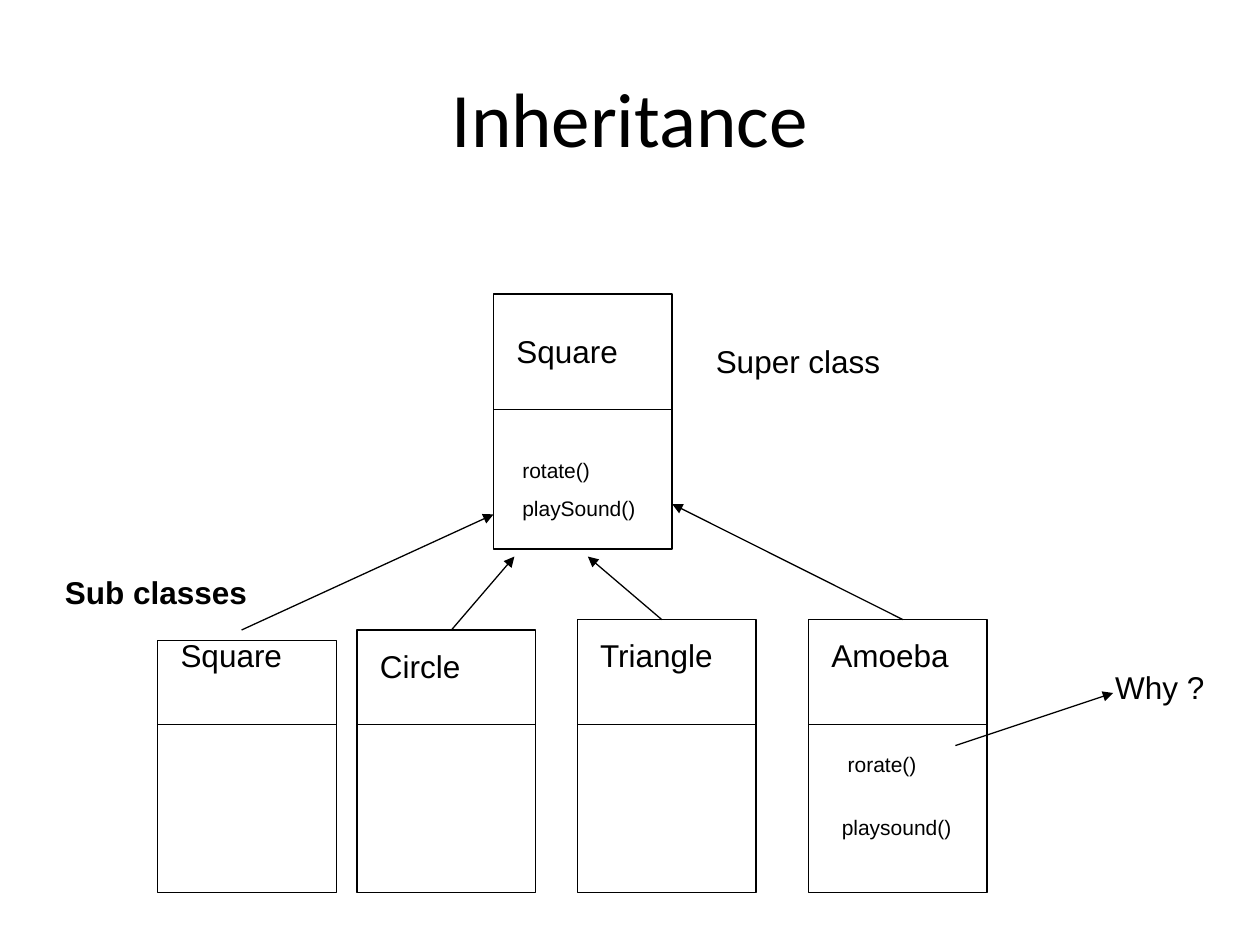
import dataclasses
import typing

import pptx
import pptx.dml.color
import pptx.enum.shapes
import pptx.enum.text
import pptx.oxml
import pptx.oxml.ns
import pptx.util

Cm = pptx.util.Cm
Pt = pptx.util.Pt


@dataclasses.dataclass(frozen=True)
class Theme:
    ink: pptx.dml.color.RGBColor = pptx.dml.color.RGBColor(0, 0, 0)
    head: str = "Calibri"
    body: str = "Arial"
    big: float = 44
    mid: float = 18
    small: float = 12
    line: float = 0.75


THEME = Theme()


@dataclasses.dataclass(frozen=True)
class Row:
    text: str
    indent: float = 0
    gap: float = 0


@dataclasses.dataclass(frozen=True)
class Card:
    """A class box; all lengths in cm."""
    name: str
    left: float
    top: float
    rule: float
    base: float
    label: float  # top of the name text


@dataclasses.dataclass(frozen=True)
class Note:
    rows: typing.Tuple[Row, ...]
    left: float
    top: float
    width: float
    size: float = THEME.mid
    bold: bool = False


@dataclasses.dataclass(frozen=True)
class Arrow:
    start: typing.Tuple[float, float]
    end: typing.Tuple[float, float]


WIDE = 3.6   # card width
INSET = 0.21  # from card edge to name box

PARENT = Card("Square", 9.95, 5.93, 8.26, 11.07, 6.56)
KIDS = [
    Card(name, left, top, 14.6, 17.99, label)
    for name, left, top, label in (
        ("Square", 3.18, 12.91, 12.7),
        ("Circle", 7.2, 12.7, 12.91),
        ("Triangle", 11.64, 12.49, 12.7),
        ("Amoeba", 16.3, 12.49, 12.7),
    )
]
NOTES = [
    Note((Row("rotate()", 0.12), Row("playSound()", 0.12, 7.5)),
         10.16, 9.1, 3.18, THEME.small),
    Note((Row("rorate()", 0.12), Row("playsound()", 0, 21.3)),
         16.72, 15.03, 2.75, THEME.small),
    Note((Row("Why ?"),), 22.23, 13.34, 2.54),
    Note((Row("Super class"),), 14.18, 6.77, 5.08),
    Note((Row("Sub classes"),), 1.06, 11.43, 4.66, bold=True),
]
ARROWS = [
    Arrow((4.87, 12.7), (9.95, 10.37)),
    Arrow((9.1, 12.7), (10.37, 11.22)),
    Arrow((13.34, 12.49), (11.85, 11.22)),
    Arrow((18.2, 12.49), (13.55, 10.16)),
    Arrow((19.26, 15.03), (22.44, 13.97)),
]


def style(thing: typing.Any, form: typing.Dict[str, typing.Any]) -> None:
    for key, value in form.items():
        setattr(thing, key, value)


def ink(font: typing.Any, name: str, size: float, bold: bool = False) -> None:
    style(font, {"name": name, "size": Pt(size), "bold": bold})
    font.color.rgb = THEME.ink


def stroke(line: typing.Any) -> None:
    line.color.rgb = THEME.ink
    line.width = Pt(THEME.line)


def draw_line(slide: typing.Any, item: Arrow, tip: bool = True) -> None:
    link = slide.shapes.add_connector(
        pptx.enum.shapes.MSO_CONNECTOR.STRAIGHT,
        *(Cm(value) for value in item.start + item.end))
    stroke(link.line)
    if tip:
        end = pptx.oxml.parse_xml(
            '<a:tailEnd %s type="triangle"/>' % pptx.oxml.ns.nsdecls("a"))
        link.line._get_or_add_ln().append(end)
    link._element.spPr.append(
        pptx.oxml.parse_xml("<a:effectLst %s/>" % pptx.oxml.ns.nsdecls("a")))


def draw_note(slide: typing.Any, note: Note) -> None:
    box = slide.shapes.add_textbox(
        Cm(note.left), Cm(note.top), Cm(note.width), Cm(1.02))
    frame = box.text_frame
    frame.word_wrap = True
    for index, row in enumerate(note.rows):
        para = frame.add_paragraph() if index else frame.paragraphs[0]
        style(para, {"text": row.text, "space_before": Pt(row.gap)})
        para._p.get_or_add_pPr().set("marL", str(Cm(row.indent)))
        ink(para.runs[0].font, THEME.body, note.size, note.bold)


def draw_card(slide: typing.Any, card: Card) -> None:
    box = slide.shapes.add_shape(
        pptx.enum.shapes.MSO_SHAPE.RECTANGLE, Cm(card.left), Cm(card.top),
        Cm(WIDE), Cm(card.base - card.top))
    box.shadow.inherit = False
    box.fill.background()
    stroke(box.line)
    draw_line(slide, Arrow((card.left, card.rule),
                           (card.left + WIDE, card.rule)), tip=False)
    draw_note(slide, Note((Row(card.name),), card.left + INSET,
                          card.label, WIDE - 2 * INSET))


def draw_title(slide: typing.Any, text: str) -> None:
    title = slide.shapes.title
    style(title, {"left": Cm(1.27), "top": Cm(0.76),
                  "width": Cm(22.86), "height": Cm(3.18)})
    title.text_frame.text = text
    title.text_frame.vertical_anchor = pptx.enum.text.MSO_ANCHOR.MIDDLE
    para = title.text_frame.paragraphs[0]
    para.alignment = pptx.enum.text.PP_ALIGN.CENTER
    ink(para.runs[0].font, THEME.head, THEME.big)


def main() -> None:
    deck = pptx.Presentation()
    style(deck, {"slide_width": Cm(25.4), "slide_height": Cm(19.05)})
    slide = deck.slides.add_slide(deck.slide_layouts[5])
    draw_title(slide, "Inheritance")

    # Class boxes
    for card in [PARENT, *KIDS]:
        draw_card(slide, card)

    # Arrows, then methods and remarks
    for arrow in ARROWS:
        draw_line(slide, arrow)
    for note in NOTES:
        draw_note(slide, note)

    deck.save("out.pptx")


if __name__ == "__main__":
    main()
